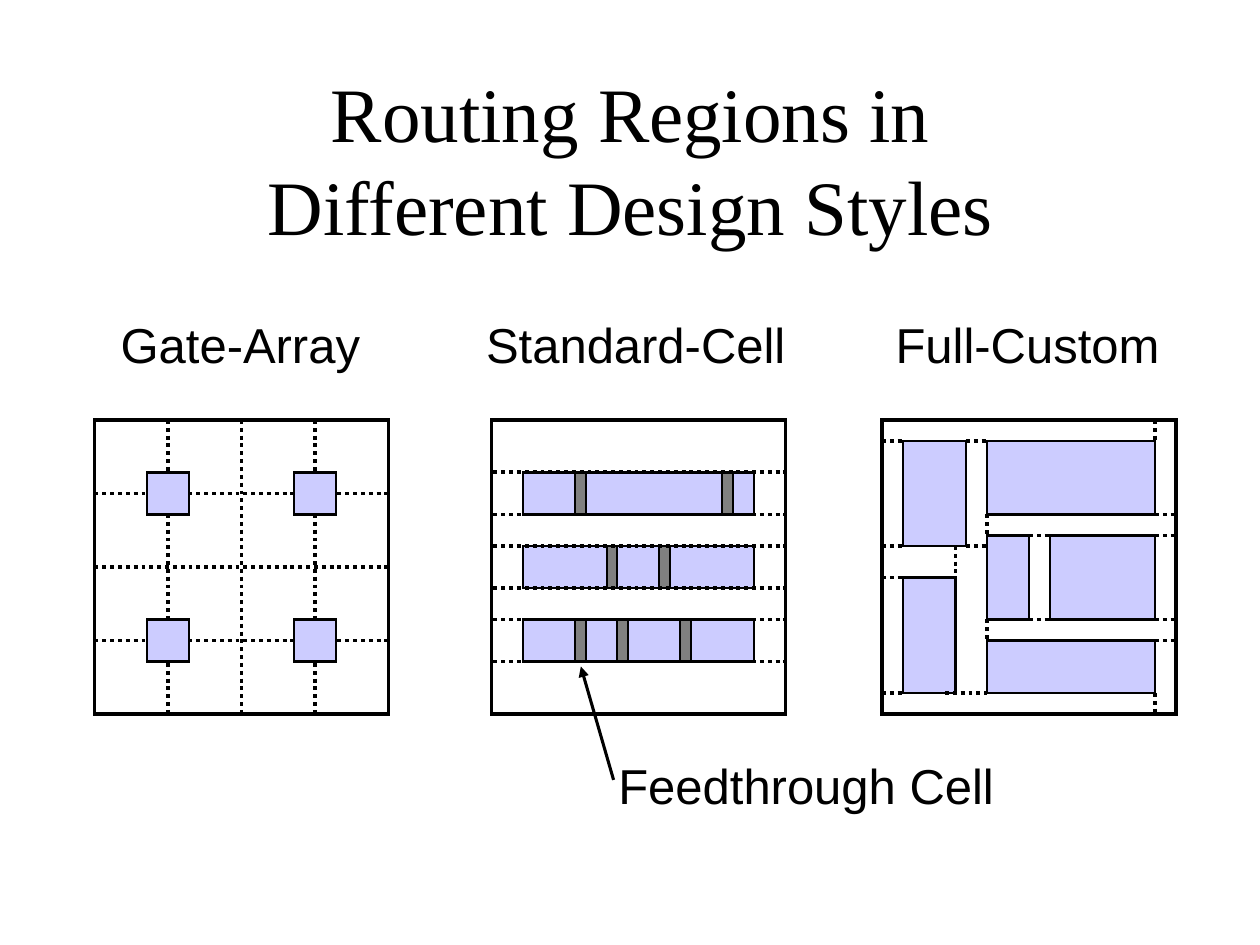
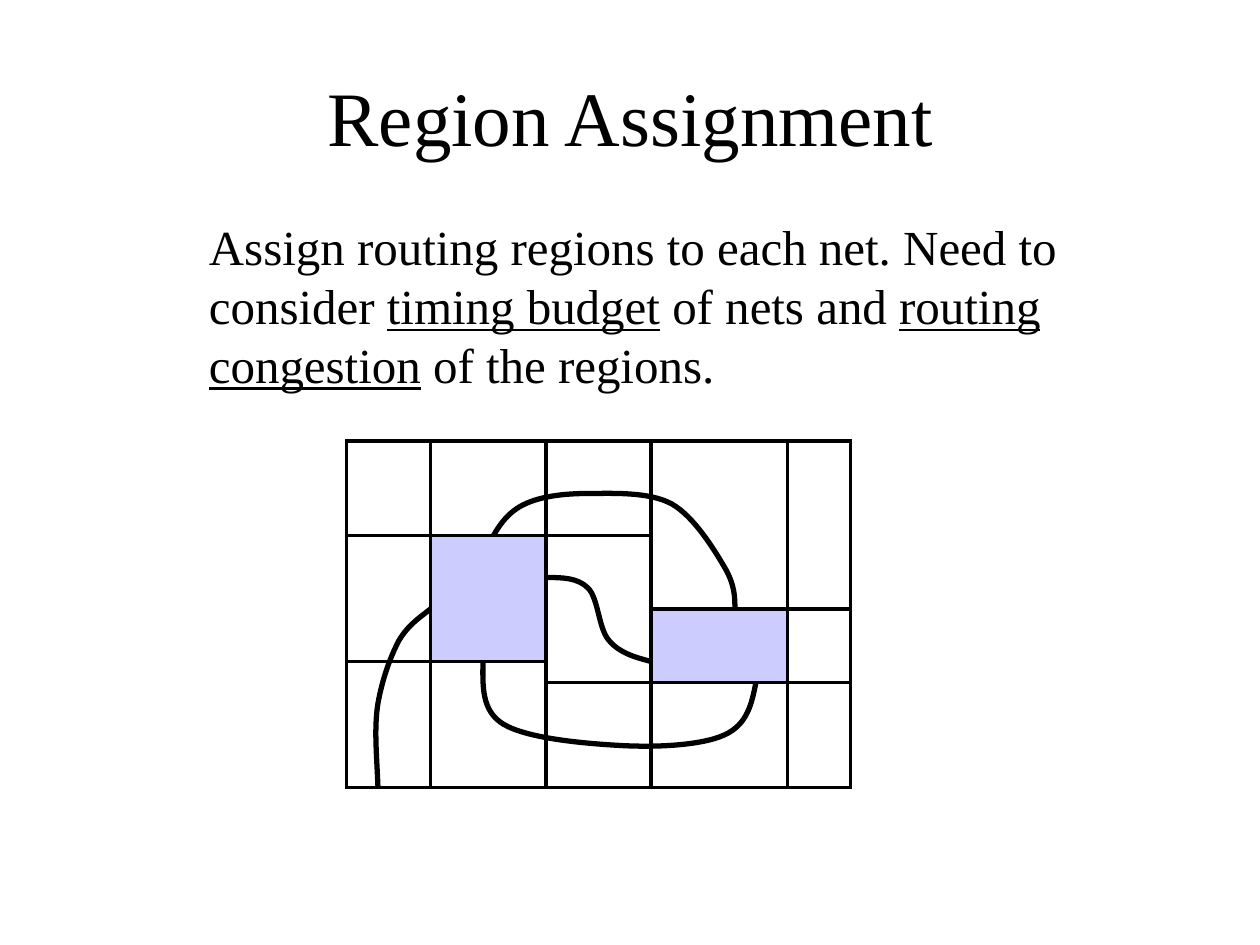
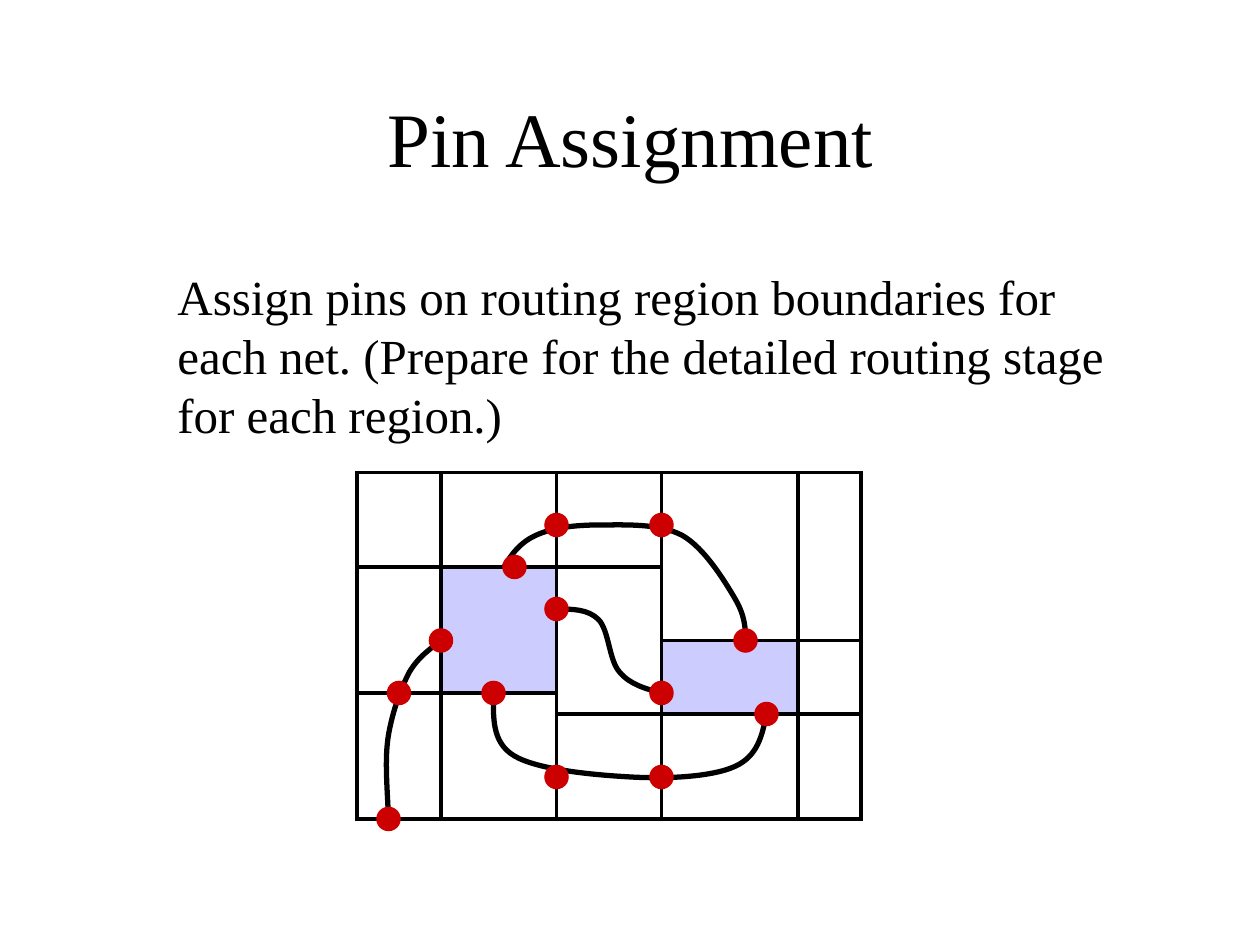
from lxml.etree import SubElement
from pptx import Presentation
from pptx.dml.color import RGBColor
from pptx.enum.dml import MSO_LINE
from pptx.enum.shapes import MSO_CONNECTOR, MSO_SHAPE
from pptx.enum.text import MSO_ANCHOR, PP_ALIGN
from pptx.oxml.ns import qn
from pptx.util import Inches, Pt

COLORS = {"ink": "000000", "cell": "CCCCFF", "feedthrough": "808080", "pin": "CC0000"}
SERIF, SANS = "Times New Roman", "Arial"
STEP = 1 / 12  # all diagrams sit on a grid of twelfths of an inch

# Slide 1: places are in grid steps from each diagram's corner
STYLES_TITLE = "Routing Regions in\nDifferent Design Styles"
LABELS = [  # text, left, top, width
    ("Gate-Array", 0.86, 2.5, 2.3),
    ("Standard-Cell", 3.76, 2.5, 2.8),
    ("Full-Custom", 7.01, 2.5, 2.5),
    ("Feedthrough Cell", 4.81, 6, 3.4),
]
DIAGRAM_TOP = 40 * STEP
GATE_ARRAY, STANDARD_CELL, FULL_CUSTOM = [(left, DIAGRAM_TOP) for left in (0.75, 3.9, 7)]
SIDE = 28
GATE_TRACKS = (7, 14, 21)
GATE_CELLS = (5, 19)
CELL_ROWS = {5: (8, 22), 12: (11, 16), 19: (8, 12, 18)}  # row top: feedthroughs
CUSTOM_BLOCKS = [  # left, top, width, height
    (2, 2, 6, 10), (10, 2, 16, 7), (10, 11, 4, 8),
    (2, 15, 5, 11), (16, 11, 10, 8), (10, 21, 16, 5),
]
CUSTOM_CHANNELS = [  # x1, y1, x2, y2
    (14, 11, 16, 11), (14, 19, 16, 19), (10, 9, 10, 11), (10, 19, 10, 21),
    (26, 26, 26, 28), (26, 0, 26, 2), (7, 12, 7, 15), (8, 2, 10, 2),
    (8, 12, 10, 12), (6, 26, 10, 26),
    *[(0, y, 2, y) for y in (2, 12, 15, 26)],
    *[(26, y, 28, y) for y in (9, 11, 19, 21)],
]

# Slides 2 and 3: one floor plan, in grid steps
REGION_TEXT = [  # text, underlined
    ("Assign routing regions to each net. Need to consider ", False),
    ("timing budget", True),
    (" of nets and ", False),
    ("routing congestion", True),
    (" of the regions.", False),
]
PIN_TEXT = [
    ("Assign pins on routing region boundaries for each net. "
     "(Prepare for the detailed routing stage for each region.)", False),
]
REGION_PLAN, PIN_PLAN = (2.75, 3.5), (34 * STEP, 3.75)
PLAN_SIZE = (48, 33)
PLAN_BLOCKS = [(8, 9, 11, 12), (29, 16, 13, 7)]
PLAN_WALLS = [
    (8, 0, 8, 9), (0, 9, 8, 9), (0, 21, 8, 21), (8, 20, 8, 33),
    (19, 0, 19, 9), (19, 9, 29, 9), (29, 0, 29, 16), (19, 21, 19, 33),
    (19, 23, 29, 23), (29, 23, 29, 33), (42, 0, 42, 16), (42, 16, 48, 16),
    (42, 23, 48, 23), (42, 23, 42, 33),
]
NETS = [  # start, then two control points and an end for each curve
    [(14, 9), (14.7, 7.8), (15.5, 6.7), (17, 6), (18.5, 5.3), (20.6, 5), (23, 5),
     (25.3, 5), (28.8, 4.8), (31, 6), (33.1, 7.2), (35, 10.3), (36, 12),
     (37, 13.7), (37, 14.9), (37, 16)],
    [(19, 13), (20.5, 13), (22, 13), (23, 14), (24, 15), (24, 17.9), (25, 19),
     (26, 20.2), (27.5, 20.6), (29, 21)],
    [(8, 16), (7, 16.8), (5.9, 17.5), (5, 19), (4.2, 20.5), (3.4, 22.7), (3, 25),
     (2.6, 27.4), (2.9, 30.1), (3, 33)],
    [(13, 21), (13, 23.3), (12.8, 25.7), (15, 27), (17.2, 28.3), (22.4, 28.8),
     (26, 29), (29.5, 29.2), (33.8, 29), (36, 28), (38.2, 27), (38.6, 25), (39, 23)],
]
PINS = [  # centres
    (15, 9), (19, 5), (29, 5), (37, 16), (39, 23), (29, 21), (19, 13),
    (29, 29), (19, 29), (13, 21), (8, 16), (4, 21), (3, 33),
]


def rgb(name):
    return RGBColor.from_string(COLORS[name])


def place(origin, x, y):
    return Inches(origin[0] + x * STEP), Inches(origin[1] + y * STEP)


# Text
def add_text(page, spans, left, top, width, height, size, font):
    box = page.shapes.add_textbox(Inches(left), Inches(top), Inches(width), Inches(height))
    box.text_frame.word_wrap = True
    para = box.text_frame.paragraphs[0]
    if isinstance(spans, str):
        para.text = spans
    else:
        for text, underlined in spans:
            span = para.add_run()
            span.text = text
            if underlined:
                span.font.underline = True
    para.font.size, para.font.name = Pt(size), font
    para.font.color.rgb = rgb("ink")
    return box, para


def add_title(page, text, top):
    box, para = add_text(page, text, 0.17, top, 9.67, 0.67, 44, SERIF)
    box.text_frame.vertical_anchor = MSO_ANCHOR.MIDDLE
    para.alignment = PP_ALIGN.CENTER


def add_body(page, spans, left, top, width, height):
    para = add_text(page, spans, left, top, width, height, 28, SERIF)[1]
    para.space_before = Pt(7)


def add_label(page, text, left, top, width):
    para = add_text(page, text, left, top, width, 0.52, 28, SANS)[1]
    para.space_before, para.line_spacing = Pt(7), 0.9


# Drawing on the grid
def add_block(page, origin, block, fill=None, weight=2.0, line="ink", kind=MSO_SHAPE.RECTANGLE):
    x, y, width, height = block
    shape = page.shapes.add_shape(
        kind, *place(origin, x, y), Inches(width * STEP), Inches(height * STEP))
    shape.shadow.inherit = False
    if fill:
        shape.fill.solid()
        shape.fill.fore_color.rgb = rgb(fill)
    else:
        shape.fill.background()
    shape.line.color.rgb = rgb(line)
    shape.line.width = Pt(weight)
    # Square corners
    SubElement(shape.element.spPr.find(qn("a:ln")), qn("a:miter"), lim="800000")


def add_line(page, origin, ends, weight=2.0, dotted=False, arrow=False):
    x1, y1, x2, y2 = ends
    line = page.shapes.add_connector(
        MSO_CONNECTOR.STRAIGHT, *place(origin, x1, y1), *place(origin, x2, y2))
    line.line.color.rgb = rgb("ink")
    line.line.width = Pt(weight)
    if dotted:
        line.line.dash_style = MSO_LINE.ROUND_DOT
    properties = line.element.spPr
    if arrow:
        SubElement(properties.find(qn("a:ln")), qn("a:tailEnd"), type="triangle")
    SubElement(properties, qn("a:effectLst"))


def add_channel(page, origin, ends):
    add_line(page, origin, ends, 2.25, dotted=True)


def add_net(page, origin, points):
    start, *rest = [place(origin, x, y) for x, y in points]
    builder = page.shapes.build_freeform(*start)
    builder.add_line_segments(rest, close=False)
    net = builder.convert_to_shape()
    net.shadow.inherit = False
    net.fill.background()
    net.line.color.rgb = rgb("ink")
    net.line.width = Pt(3)
    # Turn each three straight segments into one Bezier curve
    outline = next(net.element.iter(qn("a:path")))
    segments = outline.findall(qn("a:lnTo"))
    for first in range(0, len(segments), 3):
        curve = SubElement(outline, qn("a:cubicBezTo"))
        for segment in segments[first:first + 3]:
            curve.append(segment[0])
            outline.remove(segment)


# Diagrams
def draw_gate_array(page):
    add_block(page, GATE_ARRAY, (0, 0, SIDE, SIDE))
    for track in GATE_TRACKS:
        add_channel(page, GATE_ARRAY, (0, track, SIDE, track))
        add_channel(page, GATE_ARRAY, (track, 0, track, SIDE))
    for x in GATE_CELLS:
        for y in GATE_CELLS:
            add_block(page, GATE_ARRAY, (x, y, 4, 4), "cell", 1.5)


def draw_standard_cell(page):
    add_block(page, STANDARD_CELL, (0, 0, SIDE, SIDE))
    for top, feedthroughs in CELL_ROWS.items():
        add_block(page, STANDARD_CELL, (3, top, 22, 4), "cell", 1.5)
        for x in feedthroughs:
            add_block(page, STANDARD_CELL, (x, top, 1, 4), "feedthrough", 1.25)
        for y in (top, top + 4):
            add_channel(page, STANDARD_CELL, (0.2, y, SIDE + 0.2, y))
    add_line(page, (0, 0), [n / STEP for n in (4.87, 6.19, 4.61, 5.29)], 1.75, arrow=True)


def draw_full_custom(page):
    add_block(page, FULL_CUSTOM, (0, 0, SIDE, SIDE))
    for block in CUSTOM_BLOCKS:
        add_block(page, FULL_CUSTOM, block, "cell", 1.5)
    for channel in CUSTOM_CHANNELS:
        add_channel(page, FULL_CUSTOM, channel)


def draw_floor_plan(page, origin, pins=()):
    add_block(page, origin, (0, 0, *PLAN_SIZE))
    for block in PLAN_BLOCKS:
        add_block(page, origin, block, "cell")
    for wall in PLAN_WALLS:
        add_line(page, origin, wall)
    for net in NETS:
        add_net(page, origin, net)
    for x, y in pins:
        add_block(page, origin, (x - 1, y - 1, 2, 2), "pin", line="pin", kind=MSO_SHAPE.OVAL)


def main():
    deck = Presentation()
    deck.slide_width, deck.slide_height = Inches(10), Inches(7.5)
    styles, regions, pins = [deck.slides.add_slide(deck.slide_layouts[6]) for _ in range(3)]

    # Design styles
    add_title(styles, STYLES_TITLE, 0.92)
    draw_gate_array(styles)
    draw_standard_cell(styles)
    draw_full_custom(styles)
    for label in LABELS:
        add_label(styles, *label)

    # Region assignment
    add_title(regions, "Region Assignment", 0.58)
    add_body(regions, REGION_TEXT, 1.56, 1.67, 7.86, 5)
    draw_floor_plan(regions, REGION_PLAN)

    # Pin assignment
    add_title(pins, "Pin Assignment", 0.75)
    add_body(pins, PIN_TEXT, 1.31, 2.07, 7.69, 4.76)
    draw_floor_plan(pins, PIN_PLAN, PINS)

    deck.save("out.pptx")


if __name__ == "__main__":
    main()
